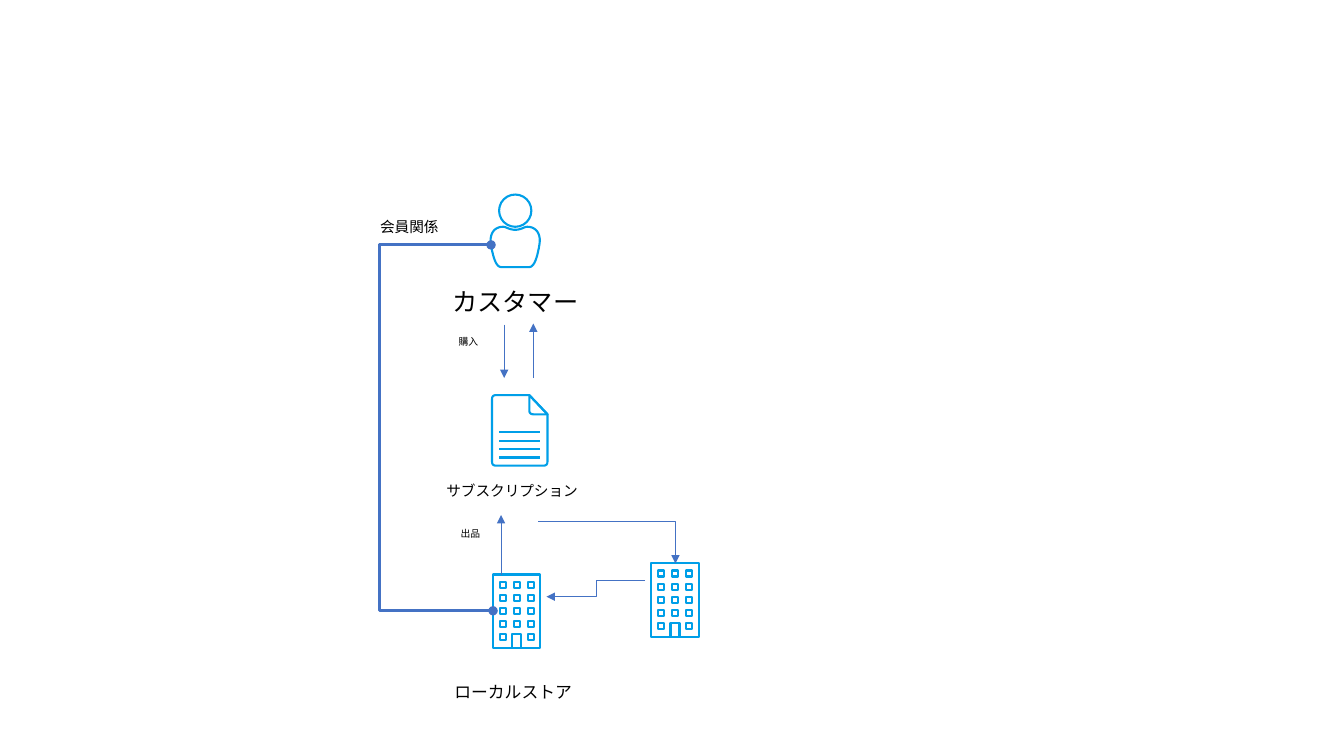
from itertools import product
from math import comb

from lxml.etree import SubElement
from pptx import Presentation
from pptx.dml.color import RGBColor
from pptx.enum.shapes import MSO_CONNECTOR, MSO_SHAPE
from pptx.enum.text import MSO_ANCHOR, MSO_AUTO_SIZE, PP_ALIGN
from pptx.oxml.ns import qn
from pptx.util import Inches, Pt

COLORS = {"icon": "009FE8", "arrow": "4472C4", "text": "000000"}
FONT = "Noto Sans CJK JP"


def set_line(sp, color, width):
    """Set the line colour and width in points."""
    sp.line.color.rgb = RGBColor.from_string(COLORS[color])
    sp.line.width = Pt(width)


def style_icon(sp):
    """Give an icon part its outline without fill or shadow."""
    sp.shadow.inherit = False
    sp.fill.background()
    set_line(sp, "icon", 1.5)


def add_outline(shapes, kind, left, top, width, height):
    """Add an outlined preset shape."""
    style_icon(shapes.add_shape(kind, *map(Inches, (left, top, width, height))))


def add_path(shapes, points):
    """Add a closed outline through points given in inches."""
    start, *rest = [(Inches(x), Inches(y)) for x, y in points]
    builder = shapes.build_freeform(*start)
    builder.add_line_segments(rest)
    style_icon(builder.convert_to_shape())


def curve(*controls, steps=10):
    """Return points along a Bezier curve."""
    n = len(controls) - 1
    points = []
    for i in range(steps + 1):
        t = i / steps
        weights = [comb(n, k) * t**k * (1 - t) ** (n - k) for k in range(n + 1)]
        points.append(tuple(sum(w * c[axis] for w, c in zip(weights, controls))
                            for axis in (0, 1)))
    return points


def add_line(shapes, start, end, color="arrow", width=0.5, head=None,
             tail=None, kind=MSO_CONNECTOR.STRAIGHT, preset=None, adjust=()):
    """Add a connector with optional ends, bend preset and adjustments."""
    cxn = shapes.add_connector(kind, *map(Inches, (*start, *end)))
    set_line(cxn, color, width)
    ln = cxn.line._get_or_add_ln()
    for tag, value in (("a:headEnd", head), ("a:tailEnd", tail)):
        if value:
            SubElement(ln, qn(tag), type=value)
    sp_pr = cxn._element.spPr
    SubElement(sp_pr, qn("a:effectLst"))
    geom = sp_pr.find(qn("a:prstGeom"))
    if preset:
        geom.set("prst", preset)
    for i, value in enumerate(adjust, 1):
        SubElement(geom.find(qn("a:avLst")), qn("a:gd"), name=f"adj{i}",
                   fmla=f"val {round(value * 100000)}")


def add_text(shapes, text, left, top, width=1.52, height=0.28, size=10.5):
    """Add a centred label."""
    tf = shapes.add_textbox(*map(Inches, (left, top, width, height))).text_frame
    tf.word_wrap = True
    tf.auto_size = MSO_AUTO_SIZE.SHAPE_TO_FIT_TEXT
    tf.vertical_anchor = MSO_ANCHOR.MIDDLE
    p = tf.paragraphs[0]
    p.alignment = PP_ALIGN.CENTER
    r = p.add_run()
    r.text = text
    r.font.size = Pt(size)
    r.font.name = FONT
    r.font.color.rgb = RGBColor.from_string(COLORS["text"])
    SubElement(r._r.get_or_add_rPr(), qn("a:ea"), typeface=FONT)


def add_customer(slide, left, top):
    """Draw the person icon."""
    shapes = slide.shapes.add_group_shape().shapes
    middle, shoulder = left + 0.25, top + 0.32
    half = (curve((0, 0.03), (0.06, 0.03), (0.09, 0), (0.12, 0))
            + curve((0.12, 0), (0.2, 0), (0.26, 0.06), (0.24, 0.18))
            + curve((0.24, 0.18), (0.22, 0.3), (0.19, 0.4), (0.14, 0.4)))
    mirrored = [(-x, y) for x, y in reversed(half)]
    add_path(shapes, [(middle + x, shoulder + y) for x, y in half + mirrored])
    add_outline(shapes, MSO_SHAPE.OVAL, middle - 0.16, top, 0.32, 0.32)


def add_document(slide, left, top, width, height):
    """Draw the document icon with a folded corner and text lines."""
    shapes = slide.shapes.add_group_shape().shapes
    right, bottom = left + width, top + height
    fold_x, fold_y, r = right - 0.18, top + 0.19, 0.04
    add_path(shapes, [(fold_x, top)]
             + curve((left + r, top), (left, top), (left, top + r))
             + curve((left, bottom - r), (left, bottom), (left + r, bottom))
             + curve((right - r, bottom), (right, bottom), (right, bottom - r))
             + [(right, fold_y)])
    add_path(shapes, [(fold_x, top)]
             + curve((fold_x, fold_y - r), (fold_x, fold_y), (fold_x + r, fold_y))
             + [(right, fold_y)])
    for i in range(4):
        y = top + 0.37 + i * 0.083
        add_line(shapes, (left + 0.07, y), (right - 0.07, y), "icon", 1.5)


def add_store(slide, left, top):
    """Draw a building with a grid of windows and a door."""
    shapes = slide.shapes.add_group_shape().shapes
    add_outline(shapes, MSO_SHAPE.RECTANGLE, left, top, 0.47, 0.73)
    for row, col in product(range(5), range(3)):
        if (row, col) != (4, 1):
            add_outline(shapes, MSO_SHAPE.RECTANGLE, left + 0.065 + col * 0.14,
                        top + 0.07 + row * 0.13, 0.06, 0.06)
    add_outline(shapes, MSO_SHAPE.RECTANGLE, left + 0.19, top + 0.59, 0.09, 0.14)


def add_flows(slide):
    """Draw the membership link and the arrows between the parties."""
    shapes = slide.shapes
    add_line(shapes, (4.87, 2.43), (4.89, 6.06), width=2.25, head="oval",
             tail="oval", kind=MSO_CONNECTOR.ELBOW, preset="bentConnector5",
             adjust=(-55, 0.48, -55))
    for start, end in (((4.97, 5.7), (4.97, 5.11)), ((5, 3.22), (5, 3.75)),
                       ((5.29, 3.75), (5.29, 3.21))):
        add_line(shapes, start, end, tail="triangle")
    add_line(shapes, (5.34, 5.17), (6.7, 5.59), tail="triangle",
             kind=MSO_CONNECTOR.ELBOW, preset="bentConnector2")
    add_line(shapes, (6.4, 5.76), (5.42, 5.92), tail="triangle",
             kind=MSO_CONNECTOR.ELBOW)


def add_labels(slide):
    """Place the names of the parties and flows."""
    shapes = slide.shapes
    add_text(shapes, "カスタマー", 4.35, 2.77, height=0.44, size=18)
    add_text(shapes, "サブスクリプション", 4.32, 4.73)
    add_text(shapes, "ローカルストア", 4.33, 6.71, height=0.3, size=12)
    add_text(shapes, "会員関係", 3.3, 2.11)
    for text, left, top in (("出品", 4.4, 5.18), ("購入", 4.38, 3.28)):
        add_text(shapes, text, left, top, width=0.53, height=0.22, size=7)


def main():
    """Build and save the slide."""
    prs = Presentation()
    prs.slide_width, prs.slide_height = Inches(13.33), Inches(7.5)
    slide = prs.slides.add_slide(prs.slide_layouts[6])
    add_customer(slide, 4.86, 1.93)
    add_document(slide, 4.88, 3.92, 0.55, 0.7)
    add_store(slide, 4.89, 5.7)
    add_store(slide, 6.46, 5.59)
    add_flows(slide)
    add_labels(slide)
    prs.save("out.pptx")


if __name__ == "__main__":
    main()
